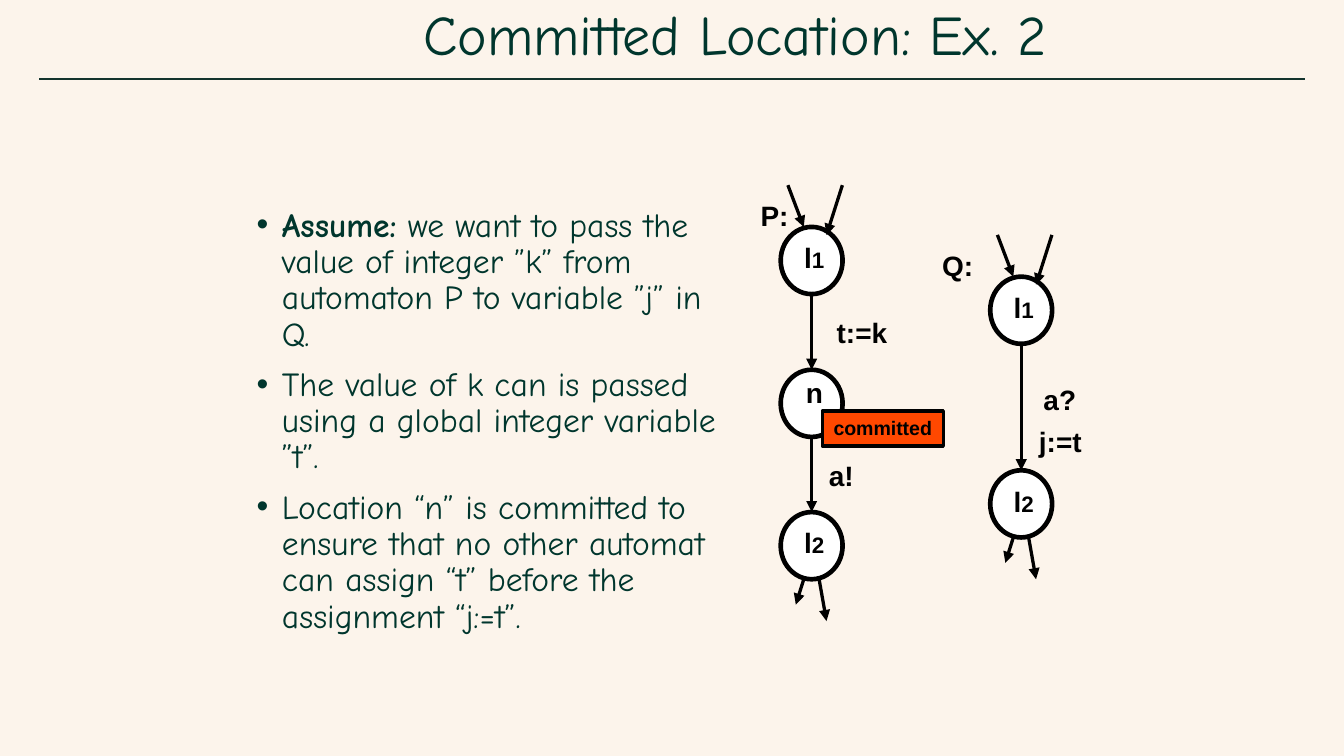
from lxml import etree
from pptx import Presentation
from pptx.dml.color import RGBColor
from pptx.enum.shapes import MSO_CONNECTOR, MSO_SHAPE
from pptx.enum.text import MSO_ANCHOR, MSO_AUTO_SIZE, PP_ALIGN
from pptx.oxml.ns import qn
from pptx.util import Cm, Pt

STRAIGHT = MSO_CONNECTOR.STRAIGHT
OVAL, RECTANGLE = MSO_SHAPE.OVAL, MSO_SHAPE.RECTANGLE
MIDDLE, TOP = MSO_ANCHOR.MIDDLE, MSO_ANCHOR.TOP
CENTER, LEFT = PP_ALIGN.CENTER, PP_ALIGN.LEFT
NO_AUTOFIT, GROW = MSO_AUTO_SIZE.NONE, MSO_AUTO_SIZE.SHAPE_TO_FIT_TEXT

COLORS = {
    "background": "FCF4EB",
    "rule": "13342D",
    "text": "00362D",
    "black": "000000",
    "white": "FFFFFF",
    "committed": "FF4800",
}
TEXT_FONT, DIAGRAM_FONT = "Comic Neue", "Arial"
CIRCLE_WIDTH, CIRCLE_HEIGHT = 1.17, 1.27

# Arrow ends relative to the top (incoming) or bottom (outgoing) of a circle
INCOMING = [((-0.45, -0.79), (-0.15, 0)), ((0.58, -0.79), (0.28, 0.15))]
OUTGOING = [((-0.15, 0), (-0.3, 0.48)), ((0.14, 0), (0.28, 0.79))]

BULLETS = [
    [("Assume:", True),
     (" we want to pass the value of integer ”k” from automaton P to variable ”j” in Q.", False)],
    [("The value of k can is passed using a global integer variable ”t”.", False)],
    [("Location “n” is committed to ensure that no other automat can assign “t” "
      "before the assignment “j:=t”.", False)],
]

L1, N, L2 = [("l", 15), ("1", 12)], [("n", 15)], [("l", 15), ("2", 12)]

# Centre x, then (top, name, drop of the name below the circle's top)
AUTOMATA = [
    (19.3, [(5.23, L1, 0.16), (8.89, L2, 0.16)]),
    (15.34, [(4.29, L1, 0.16), (6.99, N, 0), (9.68, L2, 0.16)]),
]

# Centre x, top, width, text
LABELS = [
    (18.1, 4.6, 1.05, "Q:"),
    (20.03, 7.14, 1.05, "a?"),
    (20.04, 7.92, 1.25, "j:=t"),
    (14.64, 3.66, 0.95, "P:"),
    (16.29, 5.87, 1.4, "t:=k"),
    (15.9, 8.57, 0.9, "a!"),
]


def color(name):
    return RGBColor.from_string(COLORS[name])


def add_run(paragraph, text, size, font_name, color_name, bold=False):
    run = paragraph.add_run()
    run.text = text
    run.font.size = Pt(size)
    run.font.name = font_name
    run.font.bold = bold
    run.font.color.rgb = color(color_name)


def add_bullet(paragraph):
    properties = paragraph._p.get_or_add_pPr()
    properties.set("marL", str(Cm(0.48)))
    properties.set("indent", str(-Cm(0.48)))
    etree.SubElement(properties, qn("a:buFont")).set("typeface", "Arial")
    etree.SubElement(properties, qn("a:buChar")).set("char", "•")


def add_text_box(slide, left, top, width, height, anchor):
    frame = slide.shapes.add_textbox(Cm(left), Cm(top), Cm(width), Cm(height)).text_frame
    frame.word_wrap = True
    frame.auto_size = NO_AUTOFIT
    frame.vertical_anchor = anchor
    return frame


def add_title(slide):
    frame = add_text_box(slide, 7.75, -0.95, 14.33, 3.33, MIDDLE)
    paragraph = frame.paragraphs[0]
    paragraph.alignment = LEFT
    paragraph.line_spacing = 0.9
    add_run(paragraph, "Committed Location: Ex. 2", 30, TEXT_FONT, "text")


def add_bullet_list(slide):
    frame = add_text_box(slide, 4.6, 3.81, 9.19, 9.04, TOP)
    for index, runs in enumerate(BULLETS):
        paragraph = frame.add_paragraph() if index else frame.paragraphs[0]
        add_bullet(paragraph)
        paragraph.line_spacing = 0.9
        if index:
            paragraph.space_before = Pt(7.5)
        for text, bold in runs:
            add_run(paragraph, text, 18, TEXT_FONT, "text", bold)


def add_line(slide, start, end, color_name="black", width=1.75, arrow=True):
    line = slide.shapes.add_connector(STRAIGHT, *(Cm(value) for value in (*start, *end)))
    line.line.color.rgb = color(color_name)
    line.line.width = Pt(width)
    if arrow:
        etree.SubElement(line.line._get_or_add_ln(), qn("a:tailEnd")).set("type", "triangle")
    etree.SubElement(line._element.spPr, qn("a:effectLst"))


def add_outlined_shape(slide, kind, left, top, width, height, fill, line_width):
    shape = slide.shapes.add_shape(kind, Cm(left), Cm(top), Cm(width), Cm(height))
    shape.shadow.inherit = False
    shape.fill.solid()
    shape.fill.fore_color.rgb = color(fill)
    shape.line.color.rgb = color("black")
    shape.line.width = Pt(line_width)
    return shape


def fill_label(frame, runs):
    """Write centred bold diagram text on one line with narrow margins."""
    frame.word_wrap = False
    frame.auto_size = GROW
    frame.margin_left = frame.margin_right = Cm(0.19)
    frame.margin_top = frame.margin_bottom = Cm(0.1)
    paragraph = frame.paragraphs[0]
    paragraph.alignment = CENTER
    for text, size in runs:
        add_run(paragraph, text, size, DIAGRAM_FONT, "black", True)


def add_label(slide, center, top, width, runs):
    fill_label(add_text_box(slide, center - width / 2, top, width, 0.84, TOP), runs)


def add_arrow_pair(slide, x, y, offsets):
    for start, end in offsets:
        add_line(slide, (x + start[0], y + start[1]), (x + end[0], y + end[1]))


def add_automaton(slide, center, locations):
    """Stack locations joined by arrows, with open arrows at both ends."""
    for top, name, drop in locations:
        add_outlined_shape(slide, OVAL, center - CIRCLE_WIDTH / 2, top,
                           CIRCLE_WIDTH, CIRCLE_HEIGHT, "white", 2.5)
        add_label(slide, center + 0.05, top + drop, 0.85, name)
    tops = [location[0] for location in locations]
    for upper, lower in zip(tops, tops[1:]):
        add_line(slide, (center, upper + CIRCLE_HEIGHT), (center, lower))
    add_arrow_pair(slide, center, tops[0], INCOMING)
    add_arrow_pair(slide, center, tops[-1] + CIRCLE_HEIGHT, OUTGOING)


def add_committed_tag(slide):
    tag = add_outlined_shape(slide, RECTANGLE, 15.54, 7.77, 2.29, 0.66, "committed", 1.75)
    tag.text_frame.vertical_anchor = TOP
    fill_label(tag.text_frame, [("committed", 10.5)])


def main():
    presentation = Presentation()
    presentation.slide_width = Cm(25.4)
    presentation.slide_height = Cm(14.29)
    slide = presentation.slides.add_slide(presentation.slide_layouts[6])
    slide.background.fill.solid()
    slide.background.fill.fore_color.rgb = color("background")

    add_line(slide, (0.74, 1.5), (24.66, 1.5), "rule", 1, arrow=False)
    add_title(slide)
    add_bullet_list(slide)
    for center, locations in AUTOMATA:
        add_automaton(slide, center, locations)
    for center, top, width, text in LABELS:
        add_label(slide, center, top, width, [(text, 15)])
    add_committed_tag(slide)
    presentation.save("out.pptx")


if __name__ == "__main__":
    main()
